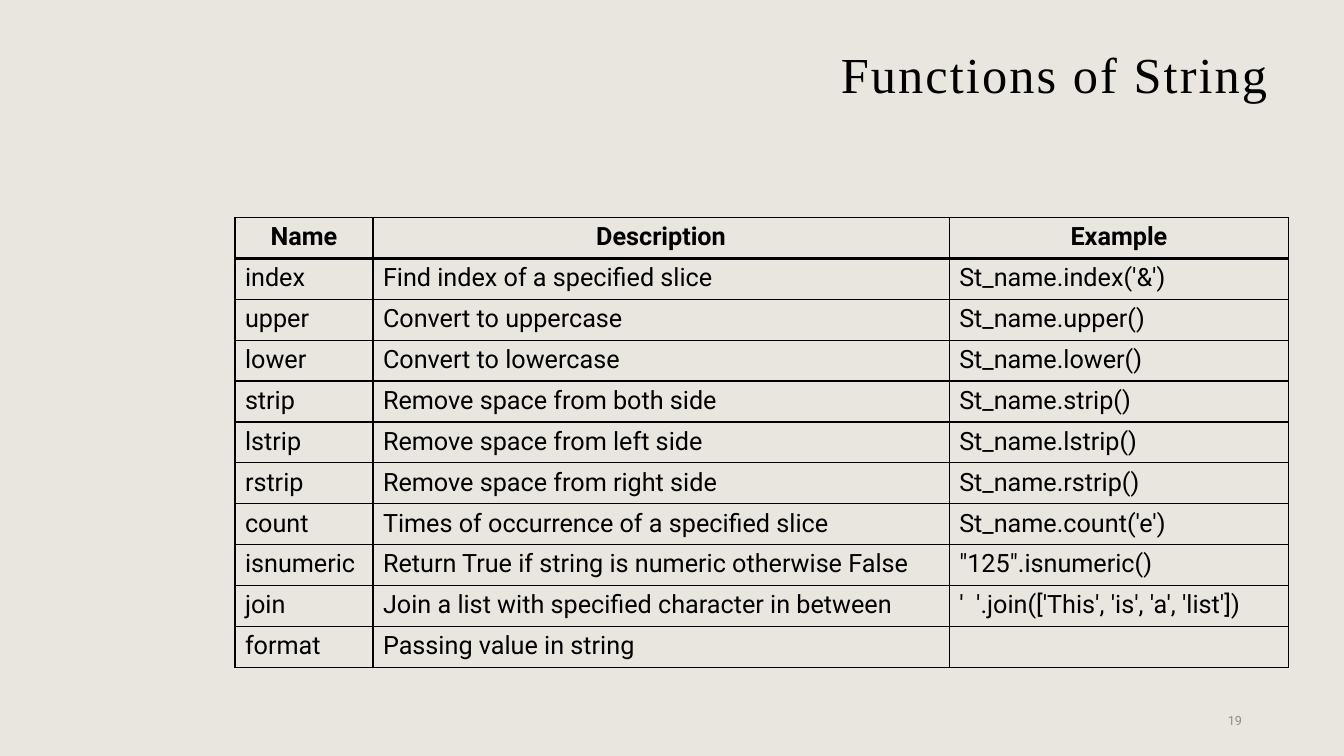
"""Build a slide with a table of string functions."""
import lxml.etree
import pptx
import pptx.dml.color
import pptx.enum.text
import pptx.oxml.ns
import pptx.util

Pt = pptx.util.Pt
qn = pptx.oxml.ns.qn
RGB = pptx.dml.color.RGBColor.from_string
ALIGN = pptx.enum.text.PP_ALIGN
MIDDLE = pptx.enum.text.MSO_ANCHOR.MIDDLE

HEADING = "Functions of String"
PAGE_NUMBER = "19"
FUNCTIONS = [
    ("Name", "Description", "Example"),
    ("index", "Find index of a specified slice", "St_name.index('&')"),
    ("upper", "Convert to uppercase", "St_name.upper()"),
    ("lower", "Convert to lowercase", "St_name.lower()"),
    ("strip", "Remove space from both side", "St_name.strip()"),
    ("lstrip", "Remove space from left side", "St_name.lstrip()"),
    ("rstrip", "Remove space from right side", "St_name.rstrip()"),
    ("count", "Times of occurrence of a specified slice", "St_name.count('e')"),
    ("isnumeric", "Return True if string is numeric otherwise False", '"125".isnumeric()'),
    ("join", "Join a list with specified character in between",
     "'  '.join(['This', 'is', 'a', 'list'])"),
    ("format", "Passing value in string", ""),
]

THEME = {
    "background": "E9E6DF",
    "rule": "000000",
    "heading": {"name": "Times New Roman", "size": 36, "color": "000000", "bold": False},
    "header": {"name": "Roboto", "size": 18, "color": "000000", "bold": True},
    "body": {"name": "Roboto", "size": 18, "color": "000000", "bold": False},
    "page": {"name": "Roboto", "size": 9, "color": "8C8C8C", "bold": False},
}
HEADING_BOX = {"left": 231.1, "top": 13, "width": 681.8, "height": 84.2}
PAGE_BOX = (678.2, 500.4, 216, 28.8)
TABLE_LEFT, TABLE_TOP, ROW_HEIGHT = 167.8, 155.4, 29.2
COLUMN_WIDTHS = (98.6, 411.6, 242.6)
THIN, THICK = 1, 2


def write(frame, words, style, align):
    """Put one styled paragraph in a text frame and return its run."""
    paragraph = frame.paragraphs[0]
    paragraph.alignment = align
    run = paragraph.add_run()
    run.text = words
    look = THEME[style]
    formats = {"name": look["name"], "size": Pt(look["size"]), "bold": look["bold"]}
    for attribute, value in formats.items():
        setattr(run.font, attribute, value)
    run.font.color.rgb = RGB(look["color"])
    return run


def draw_borders(cell, widths):
    """Draw the left, right, top and bottom borders of a cell."""
    properties = cell._tc.get_or_add_tcPr()
    for side, width in zip("LRTB", widths):
        border = lxml.etree.SubElement(properties, qn(f"a:ln{side}"), w=str(Pt(width)))
        solid = lxml.etree.SubElement(border, qn("a:solidFill"))
        lxml.etree.SubElement(solid, qn("a:srgbClr"), val=THEME["rule"])


def add_heading(slide):
    """Place the title."""
    heading = slide.shapes.title
    for attribute, value in HEADING_BOX.items():
        setattr(heading, attribute, Pt(value))
    heading.text_frame.vertical_anchor = MIDDLE
    run = write(heading.text_frame, HEADING, "heading", ALIGN.RIGHT)
    run.font._element.set("spc", "150")
    heading.text_frame.paragraphs[0].line_spacing = 0.9


def add_functions(slide):
    """Place the table of functions."""
    table = slide.shapes.add_table(
        len(FUNCTIONS), len(COLUMN_WIDTHS), Pt(TABLE_LEFT), Pt(TABLE_TOP),
        Pt(sum(COLUMN_WIDTHS)), Pt(ROW_HEIGHT * len(FUNCTIONS))).table
    table.first_row = table.horz_banding = False
    for column, width in zip(table.columns, COLUMN_WIDTHS):
        column.width = Pt(width)
    for index, entry in enumerate(FUNCTIONS):
        table.rows[index].height = Pt(ROW_HEIGHT)
        style, align = ("body", ALIGN.LEFT) if index else ("header", ALIGN.CENTER)
        top = THICK if index == 1 else THIN
        bottom = THIN if index else THICK
        for cell, words in zip(table.rows[index].cells, entry):
            draw_borders(cell, (THIN, THIN, top, bottom))
            cell.fill.background()
            if words:
                write(cell.text_frame, words, style, align)


def add_page_number(slide):
    """Place the page number."""
    frame = slide.shapes.add_textbox(*map(Pt, PAGE_BOX)).text_frame
    frame.word_wrap = True
    frame.vertical_anchor = MIDDLE
    write(frame, PAGE_NUMBER, "page", ALIGN.RIGHT)


def main():
    """Build and save the presentation."""
    deck = pptx.Presentation()
    deck.slide_width, deck.slide_height = Pt(960), Pt(540)
    slide = deck.slides.add_slide(deck.slide_layouts[5])
    slide.background.fill.solid()
    slide.background.fill.fore_color.rgb = RGB(THEME["background"])
    add_heading(slide)
    add_page_number(slide)
    add_functions(slide)
    deck.save("out.pptx")


if __name__ == "__main__":
    main()
